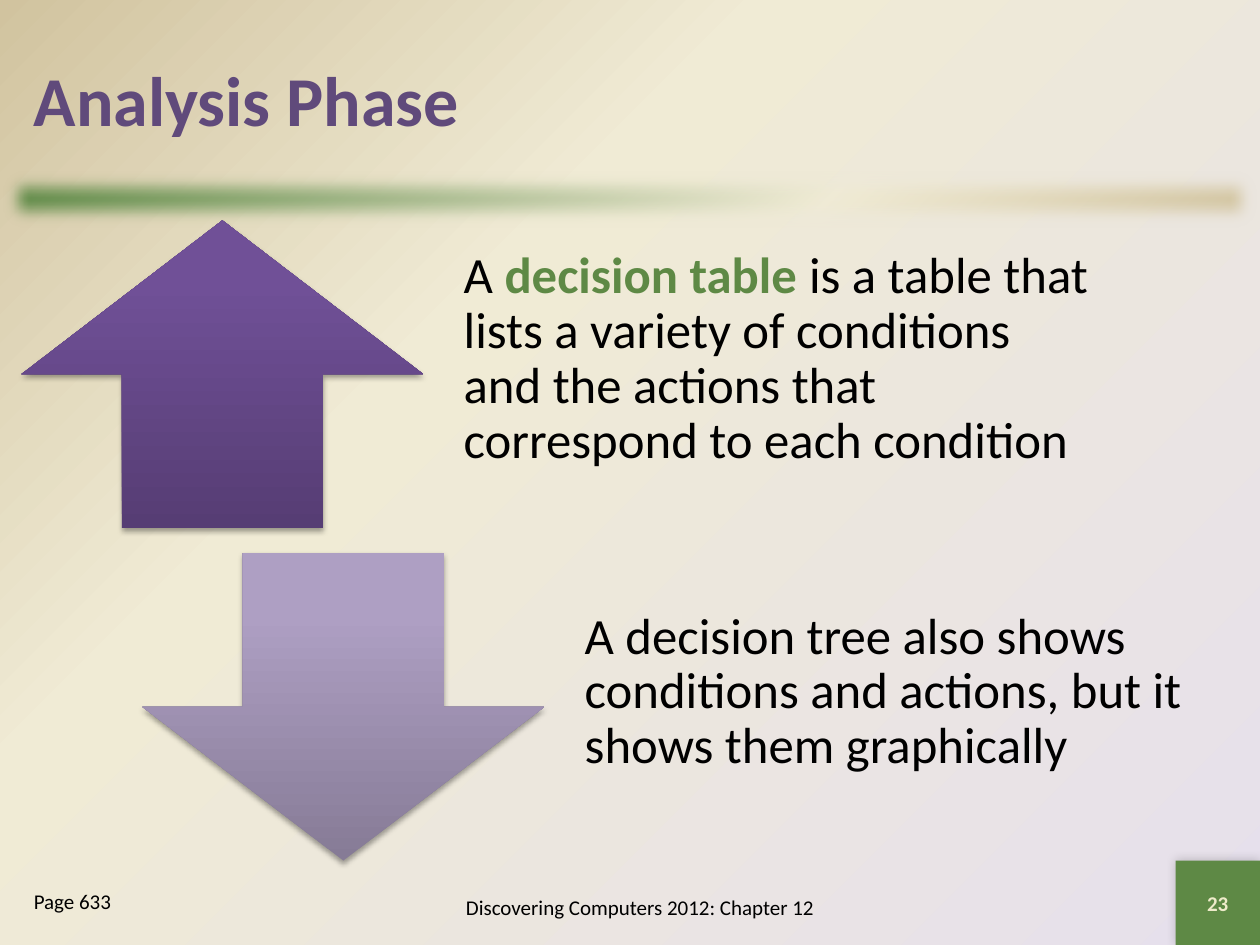
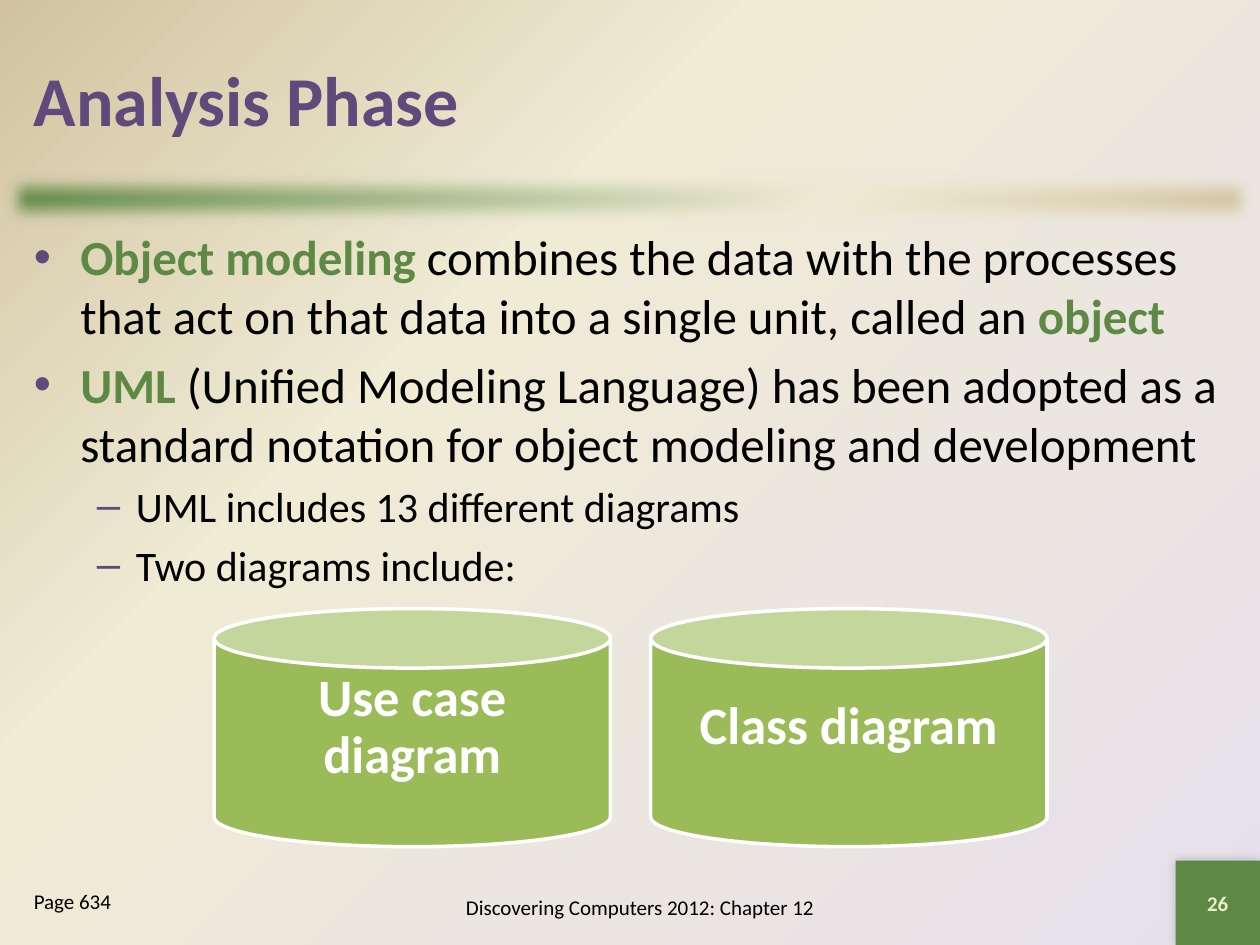
from lxml import etree
from pptx import Presentation
from pptx.dml.color import RGBColor
from pptx.enum.shapes import MSO_SHAPE
from pptx.enum.text import MSO_ANCHOR, PP_ALIGN
from pptx.oxml.ns import qn
from pptx.util import Inches, Pt

RECT, CAN = MSO_SHAPE.RECTANGLE, MSO_SHAPE.CAN
UP, DOWN = MSO_SHAPE.UP_ARROW, MSO_SHAPE.DOWN_ARROW
TOP, MIDDLE = MSO_ANCHOR.TOP, MSO_ANCHOR.MIDDLE
LEFT, CENTER = PP_ALIGN.LEFT, PP_ALIGN.CENTER
FONT = "Calibri"
HUES = {
    "title": "604A7B", "green": "5E8945", "cream": "F0EBD5", "sand": "D1C39F",
    "lilac": "E6E0EC", "number": "EEEBCA", "text": "000000", "white": "FFFFFF",
    "can": "9BBB59", "deep": "563D74", "mid": "705097", "high": "704F99",
    "dusk": "867B96", "pale": "AE9FC3", "light": "AE9FC4",
}
TITLE = {"size": Pt(40), "bold": True}
SMALL = {"size": Pt(12), "bold": False}
NUMBER = {"size": Pt(12), "bold": True}
POINT = {"size": Pt(29), "bold": False}
LABEL = {"size": Pt(30), "bold": True}
LEVELS = [
    {"mark": "•", "size": 28, "left": 0.37, "hang": 0.37},
    {"mark": "–", "size": 24, "left": 0.81, "hang": 0.31},
]


def rgb(hue):
    """Return the colour of a named hue."""
    return RGBColor.from_string(HUES[hue])


def add(parent, tag, **values):
    """Append a drawing element with attributes."""
    node = etree.SubElement(parent, qn("a:" + tag))
    for key, value in values.items():
        node.set(key, str(value))
    return node


def blend(fill, root, hues, stop, angle=None):
    """Give a fill three stops, along an angle or out from the lower right."""
    fill.gradient()
    grad = root.find(".//" + qn("a:gradFill"))
    for node in list(grad):
        grad.remove(node)
    stops = add(grad, "gsLst")
    for hue, pos in zip(hues, (0, stop, 100)):
        add(add(stops, "gs", pos=pos * 1000), "srgbClr", val=HUES[hue])
    if angle is None:
        add(add(grad, "path", path="circle"), "fillToRect", l=100000, t=100000)
    else:
        add(grad, "lin", ang=angle * 60000, scaled=0)


def draw(slide, kind, box, hue=None, line=None):
    """Draw a preset shape with a flat fill and an optional outline."""
    shape = slide.shapes.add_shape(kind, *map(Inches, box))
    shape.shadow.inherit = False
    if hue:
        shape.fill.solid()
        shape.fill.fore_color.rgb = rgb(hue)
    if line:
        shape.line.color.rgb = rgb(line)
        shape.line.width = Pt(2)
    else:
        shape.line.fill.background()
    return shape


def effect(shape):
    """Return the effect list of a shape."""
    return shape.element.spPr.find(qn("a:effectLst"))


def shade(shape, alpha, blur, dist, angle):
    """Cast an outer shadow from a shape."""
    cast = add(effect(shape), "outerShdw", blurRad=Pt(blur), dist=Pt(dist),
               dir=angle * 60000, algn="ctr", rotWithShape=0)
    add(add(cast, "srgbClr", val=HUES["text"]), "alpha", val=alpha * 1000)


def fill_par(par, runs, style):
    """Add (text, hue) runs to a paragraph; green ones are bold."""
    for text, hue in runs:
        run = par.add_run()
        run.text = text
        for key, value in {"name": FONT, **style}.items():
            setattr(run.font, key, value)
        if hue == "green":
            run.font.bold = True
        run.font.color.rgb = rgb(hue)


def frame(shape, anchor=MIDDLE, pads=(0.1, 0.05, 0.1, 0.05)):
    """Set wrapping, anchor and insets, and return the text frame."""
    body = shape.text_frame
    body.word_wrap = True
    body.vertical_anchor = anchor
    for side, pad in zip(("left", "top", "right", "bottom"), pads):
        setattr(body, "margin_" + side, Inches(pad))
    return body


def write(slide, box, runs, style, align=LEFT, space=1.0, **layout):
    """Write one paragraph in a text box."""
    par = frame(slide.shapes.add_textbox(*map(Inches, box)), **layout).paragraphs[0]
    par.alignment = align
    par.line_spacing = space
    fill_par(par, runs, style)


def base(deck, title, page, number):
    """Add a slide with its backdrop, band, title and footers."""
    slide = deck.slides.add_slide(deck.slide_layouts[6])
    blend(slide.background.fill, slide.element, ("lilac", "cream", "sand"), 65)
    band = draw(slide, RECT, (0, 1.33, 10, 0.5))
    blend(band.fill, band.element, ("green", "cream", "sand"), 65, 45)
    add(effect(band), "softEdge", rad=127000)
    write(slide, (0.17, 0.16, 9.67, 1.25), [(title, "title")], TITLE)
    write(slide, (3, 6.95, 4.16, 0.5),
          [("Discovering Computers 2012: Chapter 12", "text")], SMALL, CENTER)
    write(slide, (0.17, 7, 1.83, 0.5), [(page, "text")], SMALL, anchor=TOP)
    square = draw(slide, RECT, (9.33, 6.83, 0.67, 0.67), "green")
    shade(square, 20, 6, 0, 225)
    par = frame(square).paragraphs[0]
    par.alignment = CENTER
    fill_par(par, [(number, "number")], NUMBER)
    return slide


def arrow(slide, box, kind, hues, runs):
    """Place an arrow at the left of a box and its text at the right."""
    left, top, wide, high = box
    span = 3.19
    shape = draw(slide, kind, (left, top, span, high))
    blend(shape.fill, shape.element, hues, 80, 270)
    shade(shape, 35, 3.1, 1.8, 90)
    shift = span + 0.1
    write(slide, (left + shift, top, wide - shift, high), runs, POINT,
          space=0.9, pads=(0.22, 0, 0.2, 0.23))


def bullets(slide, box, items):
    """List (level, runs) items with coloured marks."""
    body = frame(slide.shapes.add_textbox(*map(Inches, box)), TOP)
    for index, (level, runs) in enumerate(items):
        par = body.add_paragraph() if index else body.paragraphs[0]
        look = LEVELS[level]
        par.level = level
        if index:
            par.space_before = Pt(look["size"] * 0.2)
        props = par._p.get_or_add_pPr()
        props.set("marL", str(Inches(look["left"])))
        props.set("indent", str(-Inches(look["hang"])))
        add(add(props, "buClr"), "srgbClr", val=HUES["title"])
        add(props, "buFont", typeface="Arial")
        add(props, "buChar", char=look["mark"])
        fill_par(par, runs, {"size": Pt(look["size"]), "bold": False})


def cans(slide, box, names, gap=0.32):
    """Spread labelled cans evenly over a box."""
    left, top, wide, high = box
    span = (wide - gap * (len(names) - 1)) / len(names)
    for index, name in enumerate(names):
        cell = (left + index * (span + gap), top, span, high)
        draw(slide, CAN, cell, "can", "white")
        write(slide, cell, [(name, "white")], LABEL, CENTER, 0.9, pads=(0.12,) * 4)


def choices(deck):
    """Build the slide on decision tables and trees."""
    slide = base(deck, "Analysis Phase", "Page 633", "23")
    arrow(slide, (0.17, 1.75, 8.7, 2.44), UP, ("deep", "mid", "high"), [
        ("A ", "text"), ("decision table ", "green"),
        ("is a table that lists a variety of conditions and the actions "
         "that correspond to each condition", "text")])
    arrow(slide, (1.13, 4.39, 8.7, 2.44), DOWN, ("dusk", "pale", "light"), [
        ("A decision tree also shows conditions and actions, "
         "but it shows them graphically", "text")])


def models(deck):
    """Build the slide on object modeling."""
    slide = base(deck, "Analysis Phase", "Page 634", "26")
    bullets(slide, (0.17, 1.75, 9.67, 5.08), [
        (0, [("Object modeling ", "green"),
             ("combines the data with the processes that act on that data "
              "into a single unit, called an ", "text"), ("object", "green")]),
        (0, [("UML ", "green"),
             ("(Unified Modeling Language) has been adopted as a standard "
              "notation for object modeling and development", "text")]),
        (1, [("UML includes 13 different diagrams", "text")]),
        (1, [("Two diagrams include:", "text")])])
    cans(slide, (1.7, 4.83, 6.61, 1.89), ["Use case diagram", "Class diagram"])


def main():
    """Build and save the deck."""
    deck = Presentation()
    deck.slide_width, deck.slide_height = Inches(10), Inches(7.5)
    choices(deck)
    models(deck)
    deck.save("out.pptx")


if __name__ == "__main__":
    main()
